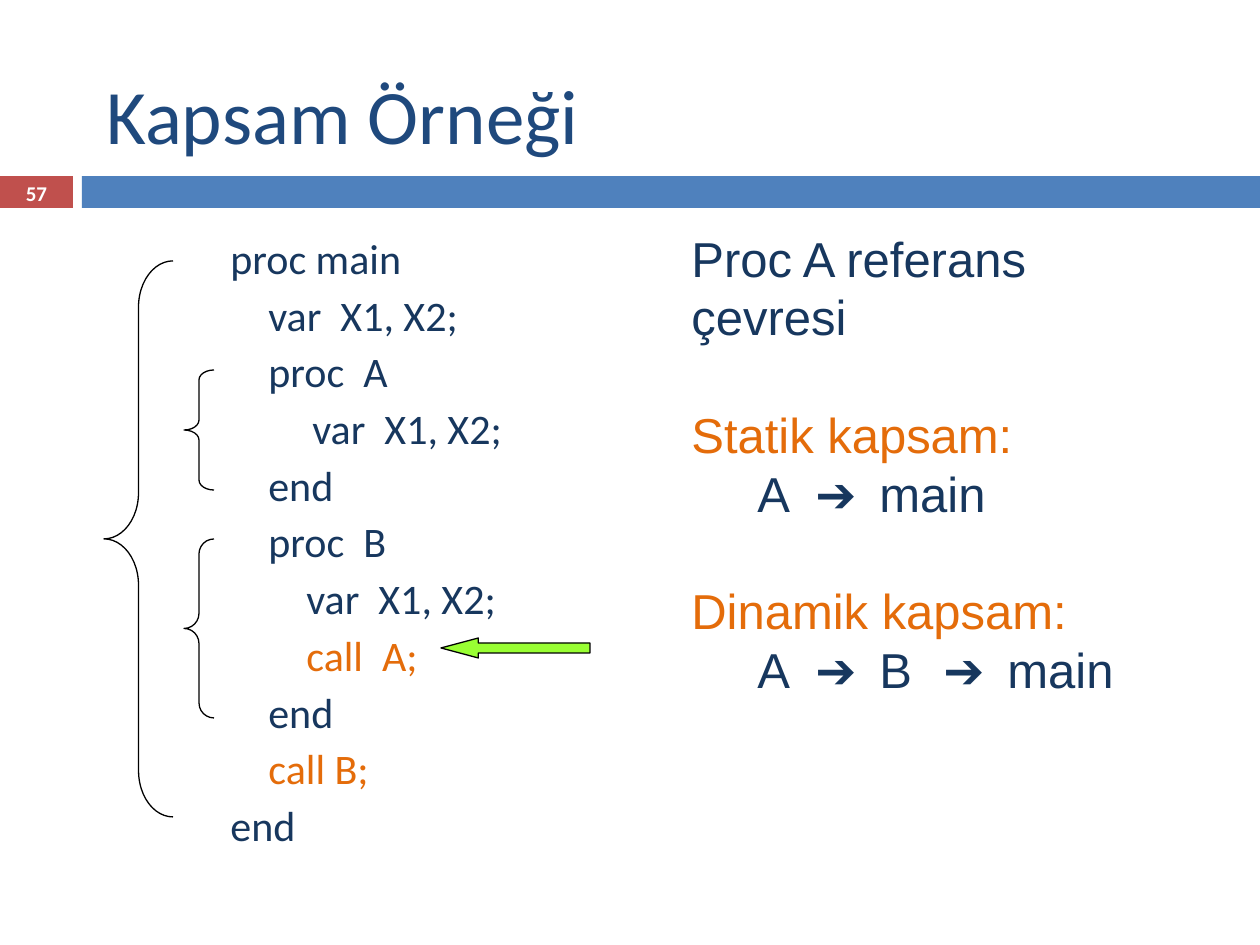
"""Build the slide comparing static and dynamic scope for two nested procedures."""
from dataclasses import dataclass
from typing import Optional

from lxml.etree import SubElement
from pptx import Presentation
from pptx.dml.color import RGBColor
from pptx.enum.shapes import MSO_SHAPE as Shape
from pptx.enum.text import MSO_ANCHOR as Anchor, PP_ALIGN as Align
from pptx.oxml.ns import qn
from pptx.util import Emu, Pt

PX = 914400 / 126


@dataclass(frozen=True)
class Theme:
    title: str = "1F497D"
    text: str = "17375E"
    accent: str = "E46C0A"
    number: str = "FFFFFF"
    red: str = "C0504D"
    blue: str = "4F81BD"
    green: str = "99FF33"
    line: str = "000000"
    title_size: int = 44
    code_size: int = 24
    note_size: int = 28
    number_size: int = 12
    code_before: float = 6.5
    note_pitch: float = 33.6
    line_width: float = 0.75
    head_font: str = "Calibri"
    note_font: str = "Arial"


@dataclass(frozen=True)
class Box:
    x: int
    y: int
    w: int
    h: int


@dataclass(frozen=True)
class Figure:
    kind: Shape
    box: Box
    fill: Optional[str] = None
    line: Optional[str] = None
    adjust: tuple[float, ...] = ()


@dataclass(frozen=True)
class Line:
    text: str
    accent: bool = False
    gap: bool = False


T = Theme()
TAB_STOPS = (66, 124, 188, 252, 316)

FIGURES = (
    Figure(Shape.RECTANGLE, Box(0, 176, 73, 32), T.red),
    Figure(Shape.RECTANGLE, Box(82, 176, 1178, 32), T.blue),
    Figure(Shape.LEFT_BRACE, Box(104, 261, 69, 556), None, T.line, (0.67, 0.5)),
    Figure(Shape.LEFT_BRACE, Box(184, 370, 30, 120), None, T.line, (0.33, 0.5)),
    Figure(Shape.LEFT_BRACE, Box(184, 539, 30, 179), None, T.line, (0.5, 0.5)),
    Figure(Shape.LEFT_ARROW, Box(441, 638, 149, 20), T.green, T.line, (0.5, 1.87)),
)

CODE = (
    Line("proc main"),
    Line("    var  X1, X2;"),
    Line("    proc  A"),
    Line("\t    var  X1, X2;"),
    Line("    end"),
    Line("    proc  B"),
    Line("        var  X1, X2;"),
    Line("        call  A;", accent=True),
    Line("    end"),
    Line("    call B;", accent=True),
    Line("end"),
)

NOTES = (
    Line("Proc A referans"),
    Line("çevresi"),
    Line("Statik kapsam:", accent=True, gap=True),
    Line("\tA\t➔\tmain"),
    Line("Dinamik kapsam:", accent=True, gap=True),
    Line("\tA\t➔\tB\t➔\tmain"),
)


def px(value: int) -> Emu:
    return Emu(round(value * PX))


def place(box: Box) -> tuple[Emu, ...]:
    return px(box.x), px(box.y), px(box.w), px(box.h)


def rgb(color: str) -> RGBColor:
    return RGBColor.from_string(color)


def add_figure(s, figure: Figure) -> None:
    sp = s.shapes.add_shape(figure.kind, *place(figure.box))
    sp.shadow.inherit = False
    for i, value in enumerate(figure.adjust):
        sp.adjustments[i] = value
    if figure.fill:
        sp.fill.solid()
        sp.fill.fore_color.rgb = rgb(figure.fill)
    else:
        sp.fill.background()
    if figure.line:
        sp.line.color.rgb = rgb(figure.line)
        sp.line.width = Pt(T.line_width)
    else:
        sp.line.fill.background()


def add_frame(s, box: Box, anchor: Anchor = Anchor.TOP):
    tf = s.shapes.add_textbox(*place(box)).text_frame
    tf.word_wrap = True
    tf.vertical_anchor = anchor
    return tf


def next_paragraph(tf, index: int):
    return tf.add_paragraph() if index else tf.paragraphs[0]


def add_run(p, text: str, font: str, size: int, color: str, bold: bool = False) -> None:
    r = p.add_run()
    r.text = text
    r.font.name = font
    r.font.size = Pt(size)
    r.font.color.rgb = rgb(color)
    r.font.bold = bold


def add_title(s, text: str) -> None:
    tf = add_frame(s, Box(94, 35, 1071, 158), Anchor.MIDDLE)
    add_run(tf.paragraphs[0], text, T.head_font, T.title_size, T.title)


def add_number(s, text: str) -> None:
    tf = add_frame(s, Box(0, 176, 73, 34), Anchor.MIDDLE)
    tf.margin_left = tf.margin_right = tf.margin_top = tf.margin_bottom = 0
    p = tf.paragraphs[0]
    p.alignment = Align.CENTER
    add_run(p, text, T.head_font, T.number_size, T.number, bold=True)


def add_code(s, lines: tuple[Line, ...]) -> None:
    tf = add_frame(s, Box(218, 232, 329, 567))
    for i, line in enumerate(lines):
        p = next_paragraph(tf, i)
        pPr = p._p.get_or_add_pPr()
        pPr.set("marL", str(px(44)))
        pPr.set("indent", str(-px(44)))
        p.line_spacing = 0.9
        p.space_before = Pt(T.code_before if i else 0)
        color = T.accent if line.accent else T.text
        add_run(p, line.text, T.head_font, T.code_size, color)


def add_notes(s, lines: tuple[Line, ...]) -> None:
    tf = add_frame(s, Box(679, 222, 496, 484))
    for i, line in enumerate(lines):
        p = next_paragraph(tf, i)
        p.line_spacing = Pt(T.note_pitch)
        p.space_before = Pt(T.note_pitch if line.gap else 0)
        if "\t" in line.text:
            tabs = SubElement(p._p.get_or_add_pPr(), qn("a:tabLst"))
            for stop in TAB_STOPS:
                SubElement(tabs, qn("a:tab"), pos=str(px(stop)), algn="l")
        color = T.accent if line.accent else T.text
        add_run(p, line.text, T.note_font, T.note_size, color)


def main() -> None:
    prs = Presentation()
    prs.slide_width, prs.slide_height = px(1260), px(945)
    s = prs.slides.add_slide(prs.slide_layouts[6])
    for figure in FIGURES:
        add_figure(s, figure)
    add_title(s, "Kapsam Örneği")
    add_code(s, CODE)
    add_notes(s, NOTES)
    add_number(s, "57")
    prs.save("out.pptx")


if __name__ == "__main__":
    main()
